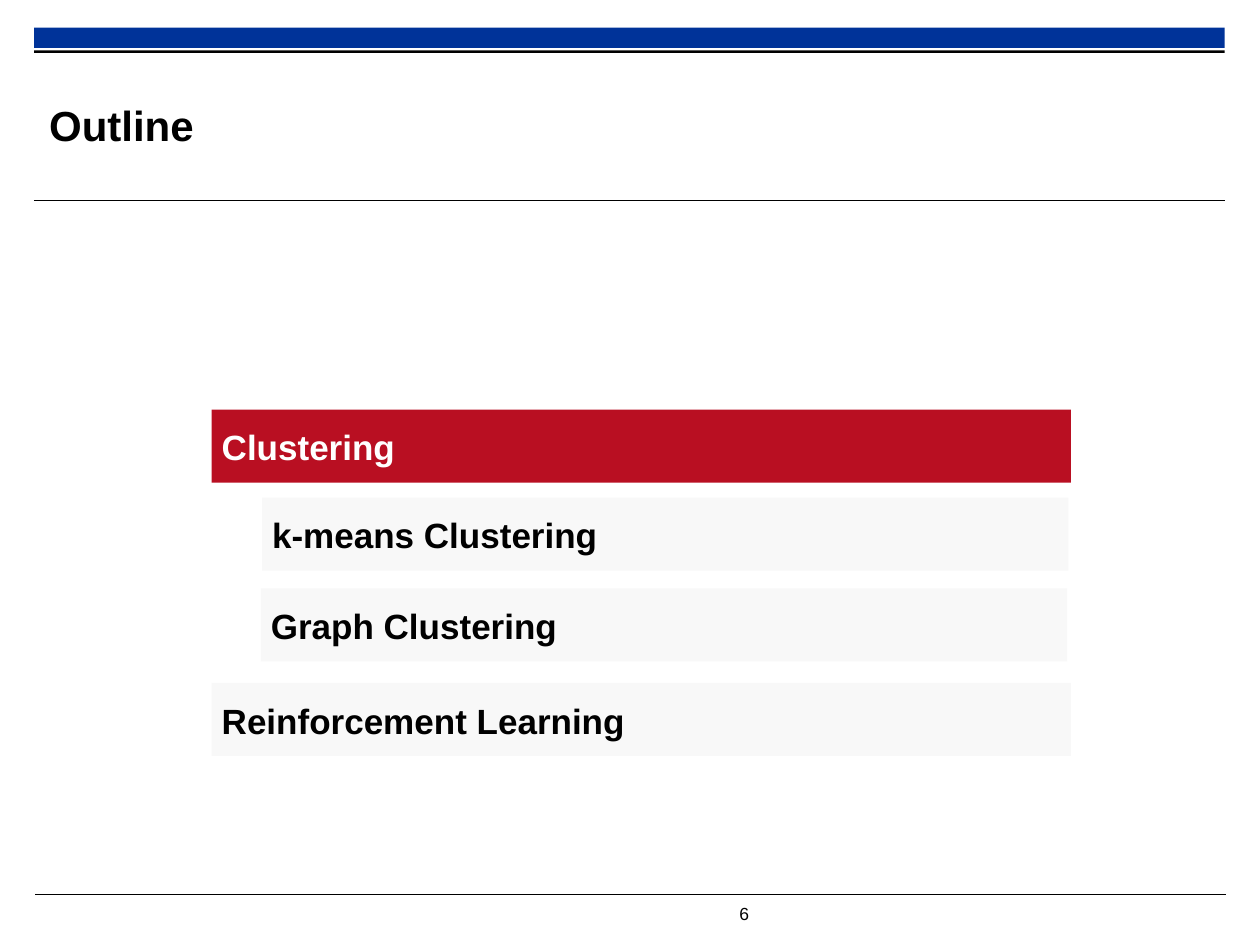
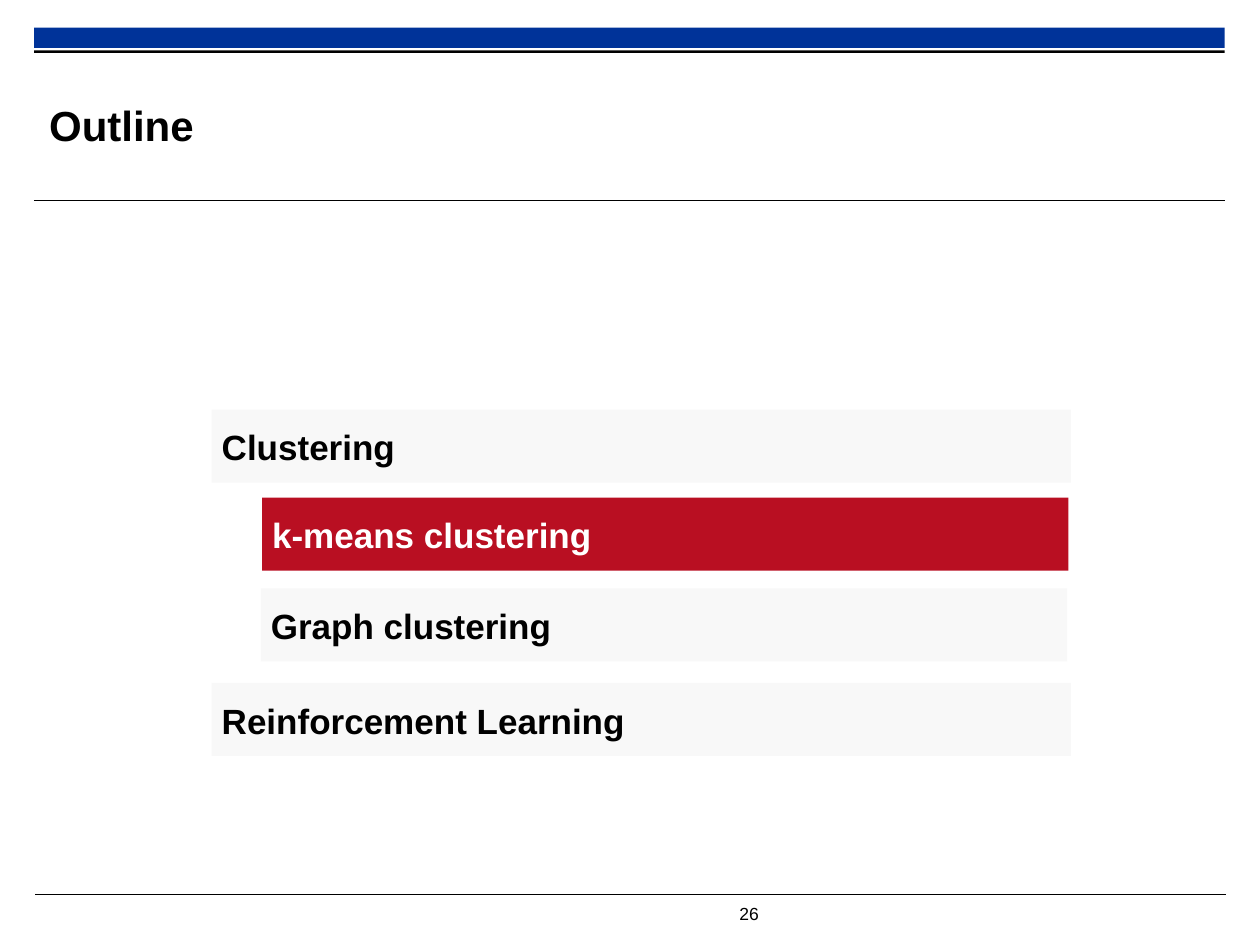
from dataclasses import dataclass

from lxml import etree
from pptx import Presentation
from pptx.dml.color import RGBColor
from pptx.enum.shapes import MSO_CONNECTOR, MSO_SHAPE
from pptx.enum.text import MSO_ANCHOR, MSO_AUTO_SIZE, PP_ALIGN
from pptx.oxml.ns import qn
from pptx.util import Inches, Pt

RECTANGLE = MSO_SHAPE.RECTANGLE
STRAIGHT = MSO_CONNECTOR.STRAIGHT
MIDDLE, TOP = MSO_ANCHOR.MIDDLE, MSO_ANCHOR.TOP
LEFT = PP_ALIGN.LEFT
NO_AUTOFIT = MSO_AUTO_SIZE.NONE


@dataclass(frozen=True)
class Theme:
    font: str = "Arial"
    black: RGBColor = RGBColor(0x00, 0x00, 0x00)
    white: RGBColor = RGBColor(0xFF, 0xFF, 0xFF)
    band: RGBColor = RGBColor(0x00, 0x33, 0x99)
    current: RGBColor = RGBColor(0xB9, 0x0F, 0x22)
    idle: RGBColor = RGBColor(0xF8, 0xF8, 0xF8)
    title_size: int = 24
    topic_size: int = 20
    number_size: int = 10
    rule_width: float = 0.6


theme = Theme()

deck = Presentation()
deck.slide_width, deck.slide_height = Inches(10), Inches(7.5)

# Square grid: 100 columns by 75 rows
CELL = deck.slide_width // 100
MARGIN, CONTENT_WIDTH = 2.7, 94.5
TOPIC_HEIGHT = 5.8
TOPIC_INSETS = (0.8, 0.9, 0.8, 0.8)

# Left, top and width of each topic bar, in cells
topic_places = [(16.8, 32.5, 68.2), (20.8, 39.5, 64),
                (20.7, 46.7, 64), (16.8, 54.2, 68.2)]

# Page number, topics, and index of the current topic
outlines = [
    ("6", ["Clustering", "k-means Clustering", "Graph Clustering",
           "Reinforcement Learning"], 0),
    ("26", ["Clustering", "k-means clustering", "Graph clustering",
            "Reinforcement Learning"], 1),
]


def write_text(box, text, size, color=theme.black, bold=False,
               anchor=MIDDLE, insets=(0, 0, 0, 0)):
    frame = box.text_frame
    frame.word_wrap = True
    frame.auto_size = NO_AUTOFIT
    frame.vertical_anchor = anchor
    (frame.margin_left, frame.margin_top, frame.margin_right,
     frame.margin_bottom) = [int(inset * CELL) for inset in insets]
    para = frame.paragraphs[0]
    para.alignment = LEFT
    span = para.add_run()
    span.text = text
    span.font.name = theme.font
    span.font.size = Pt(size)
    span.font.bold = bold
    span.font.color.rgb = color


def add_bar(page, left, top, width, height, fill):
    bar = page.shapes.add_shape(
        RECTANGLE, *[int(cells * CELL) for cells in (left, top, width, height)])
    bar.shadow.inherit = False
    bar.fill.solid()
    bar.fill.fore_color.rgb = fill
    bar.line.fill.background()
    return bar


for number, topics, current in outlines:
    page = deck.slides.add_slide(deck.slide_layouts.get_by_name("Title Only"))

    # Header bands
    add_bar(page, MARGIN, 2.2, CONTENT_WIDTH, 1.6, theme.band)
    add_bar(page, MARGIN, 4, CONTENT_WIDTH, 0.2, theme.black)

    # Rules under the title and above the footer
    for left, top in [(MARGIN, 15.9), (MARGIN + 0.1, 71)]:
        rule = page.shapes.add_connector(
            STRAIGHT, int(left * CELL), int(top * CELL),
            int((left + CONTENT_WIDTH) * CELL), int(top * CELL))
        rule.line.color.rgb = theme.black
        rule.line.width = Pt(theme.rule_width)
        etree.SubElement(rule._element.spPr, qn("a:effectLst"))

    # Title
    title = page.shapes.title
    title.left, title.top, title.width, title.height = [
        int(cells * CELL) for cells in (3.9, 5.3, 71.1, 9.2)]
    write_text(title, "Outline", theme.title_size, bold=True)

    # Page number
    number_box = page.shapes.add_textbox(
        *[int(cells * CELL) for cells in (57.7, 71.2, 4.8, 2.7)])
    write_text(number_box, number, theme.number_size, anchor=TOP,
               insets=(1, 0.5, 1, 0.5))

    # Topics, with the current one highlighted
    for index, (topic, place) in enumerate(zip(topics, topic_places)):
        active = index == current
        bar = add_bar(page, *place, TOPIC_HEIGHT,
                      theme.current if active else theme.idle)
        write_text(bar, topic, theme.topic_size, bold=True, insets=TOPIC_INSETS,
                   color=theme.white if active else theme.black)

deck.save("out.pptx")
